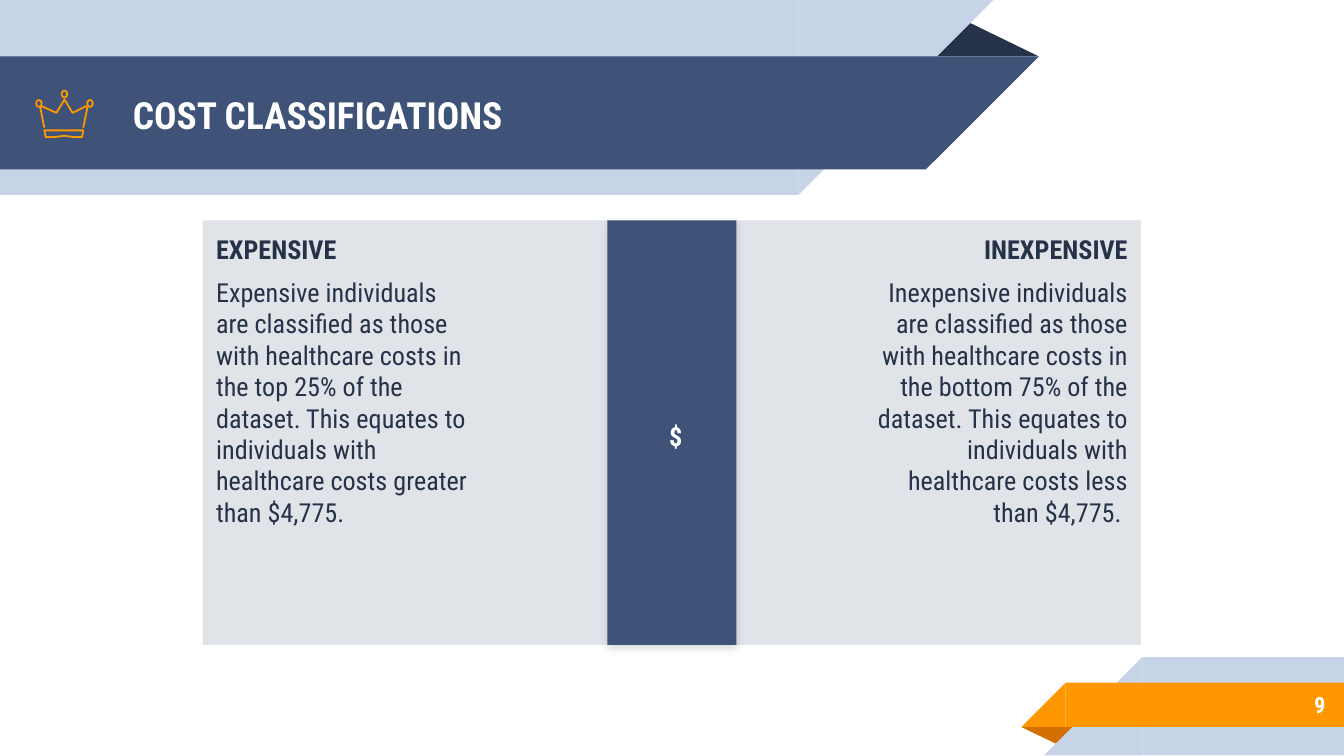
import math

from lxml import etree
from pptx import Presentation
from pptx.dml.color import RGBColor
from pptx.enum.shapes import MSO_SHAPE
from pptx.enum.text import MSO_ANCHOR, PP_ALIGN
from pptx.oxml.ns import qn
from pptx.util import Inches, Pt

RECT, TRIANGLE, RIGHT_TRIANGLE = MSO_SHAPE.RECTANGLE, MSO_SHAPE.ISOSCELES_TRIANGLE, MSO_SHAPE.RIGHT_TRIANGLE
LEFT, CENTER, RIGHT = PP_ALIGN.LEFT, PP_ALIGN.CENTER, PP_ALIGN.RIGHT
TOP, MIDDLE = MSO_ANCHOR.TOP, MSO_ANCHOR.MIDDLE

FONT = "Roboto Condensed"
COLORS = {
    "navy": "3F5378",
    "dark": "263248",
    "pale": "C7D3E6",
    "panel": "E0E4E9",
    "orange": "FF9800",
    "rust": "D26F00",
    "white": "FFFFFF",
    "black": "000000",
}


def rgb(name):
    return RGBColor.from_string(COLORS[name])


def add_block(slide, kind, box, color, flip=False, rotation=0):
    s = slide.shapes.add_shape(kind, *map(Inches, box))
    s.shadow.inherit = False
    s.fill.solid()
    s.fill.fore_color.rgb = rgb(color)
    s.line.fill.background()
    s.rotation = rotation
    if flip:
        s._element.spPr.get_or_add_xfrm().set("flipH", "1")
    return s


def add_fold(slide, box, color, rotation=0):
    s = add_block(slide, TRIANGLE, box, color, rotation=rotation)
    s.adjustments[0] = 0.324


def add_left_band(slide, top, width, height, color):
    """Band from the left edge whose slanted end is as wide as it is high."""
    add_block(slide, RECT, (0, top, width, height), color)
    add_block(slide, RIGHT_TRIANGLE, (width, top, height, height), color, flip=True, rotation=180)


def add_right_band(slide, left, top, height, color):
    """Band to the right edge whose slanted start is as wide as it is high."""
    add_block(slide, RECT, (left, top, 10 - left, height), color)
    add_block(slide, RIGHT_TRIANGLE, (left - height, top, height, height), color, flip=True)


def set_frame(tf, insets=(0.1, 0.1, 0.1, 0.1), anchor=TOP):
    tf.word_wrap = True
    tf.vertical_anchor = anchor
    tf.margin_left, tf.margin_top, tf.margin_right, tf.margin_bottom = map(Inches, insets)


def write(p, text, size=14, color="dark", bold=False, align=LEFT, space=0):
    p.alignment = align
    p.space_before = p.space_after = Pt(space)
    r = p.add_run()
    r.text = text
    r.font.name = FONT
    r.font.size = Pt(size)
    r.font.bold = bold
    r.font.color.rgb = rgb(color)


def add_label(slide, box, text, insets=(0.1, 0.1, 0.1, 0.1), anchor=MIDDLE, **style):
    tf = slide.shapes.add_textbox(*map(Inches, box)).text_frame
    set_frame(tf, insets, anchor)
    write(tf.paragraphs[0], text, color="white", bold=True, **style)


def add_outline(slide, points, close=True):
    start, *rest = [(Inches(x), Inches(y)) for x, y in points]
    builder = slide.shapes.build_freeform(*start)
    builder.add_line_segments(rest, close=close)
    s = builder.convert_to_shape()
    s.shadow.inherit = False
    s.fill.background()
    s.line.color.rgb = rgb("orange")
    s.line.width = Pt(0.96)


def add_crown(slide, left, top):
    def place(points):
        return [(left + x, top + y) for x, y in points]

    for cx, cy in [(0.02, 0.09), (0.21, 0.02), (0.4, 0.09)]:
        angles = [math.tau * i / 24 for i in range(24)]
        add_outline(slide, place([(cx + 0.02 * math.cos(a), cy + 0.025 * math.sin(a)) for a in angles]))
    body = [(0.35, 0.27), (0.38, 0.12), (0.37, 0.11), (0.27, 0.16), (0.21, 0.06),
            (0.15, 0.16), (0.04, 0.11), (0.03, 0.12), (0.06, 0.27)]
    add_outline(slide, place(body), close=False)
    base = [(0.06, 0.29), (0.35, 0.29), (0.34, 0.34), (0.28, 0.34),
            (0.21, 0.33), (0.13, 0.34), (0.07, 0.34)]
    add_outline(slide, place(base))


def add_header(slide, title):
    add_fold(slide, (6.88, 0.14, 0.85, 0.28), "dark")
    add_left_band(slide, 0, 5.94, 1.45, "pale")
    add_left_band(slide, 0.42, 6.89, 0.84, "navy")
    add_label(slide, (0.89, 0.43, 5.75, 0.84), title, size=20)
    add_crown(slide, 0.27, 0.68)


def add_footer(slide, number):
    add_fold(slide, (7.6, 5.41, 0.43, 0.14), "rust", rotation=180)
    add_right_band(slide, 8.5, 4.89, 0.73, "pale")
    add_right_band(slide, 7.93, 5.08, 0.33, "orange")
    add_label(slide, (8.33, 5.07, 1.63, 0.35), number, size=12, align=RIGHT)


def add_panel(slide, box, heading, body, align):
    tf = add_block(slide, RECT, box, "panel").text_frame
    set_frame(tf, (0.1, 0.1, 1.5, 0.1) if align == LEFT else (1.5, 0.1, 0.1, 0.1))
    write(tf.paragraphs[0], heading, bold=True, align=align)
    write(tf.add_paragraph(), body, align=align, space=6)


def add_soft_shadow(s):
    effects = s._element.spPr.find(qn("a:effectLst"))
    shadow = etree.SubElement(effects, qn("a:outerShdw"), blurRad=str(Pt(4.5)), dist=str(Pt(1.5)),
                              dir="5400000", algn="bl", rotWithShape="0")
    color = etree.SubElement(shadow, qn("a:srgbClr"), val=COLORS["black"])
    etree.SubElement(color, qn("a:alpha"), val="15000")


def add_comparison(slide, left, top, width, height):
    panel_w, divider_w = 3.47, 0.96
    middle = left + width / 2
    add_panel(slide, (left, top, panel_w, height), "EXPENSIVE",
              "Expensive individuals are classified as those with healthcare costs in the top 25% "
              "of the dataset. This equates to individuals with healthcare costs greater than $4,775.", LEFT)
    add_panel(slide, (left + width - panel_w, top, panel_w, height), "INEXPENSIVE",
              "Inexpensive individuals are classified as those with healthcare costs in the bottom 75% "
              "of the dataset. This equates to individuals with healthcare costs less than $4,775. ", RIGHT)
    add_soft_shadow(add_block(slide, RECT, (middle - divider_w / 2, top, divider_w, height), "navy"))
    add_label(slide, (middle - 0.12, top + 1.44, 0.24, 0.54), "$",
              insets=(0.1, 0.05, 0.1, 0.05), anchor=TOP, align=CENTER)


def main():
    prs = Presentation()
    prs.slide_width = Inches(10)
    prs.slide_height = prs.slide_width * 9 // 16
    slide = prs.slides.add_slide(prs.slide_layouts[6])
    add_header(slide, "COST CLASSIFICATIONS")
    add_footer(slide, "9")
    add_comparison(slide, 1.51, 1.64, 6.98, 3.16)
    prs.save("out.pptx")


if __name__ == "__main__":
    main()
